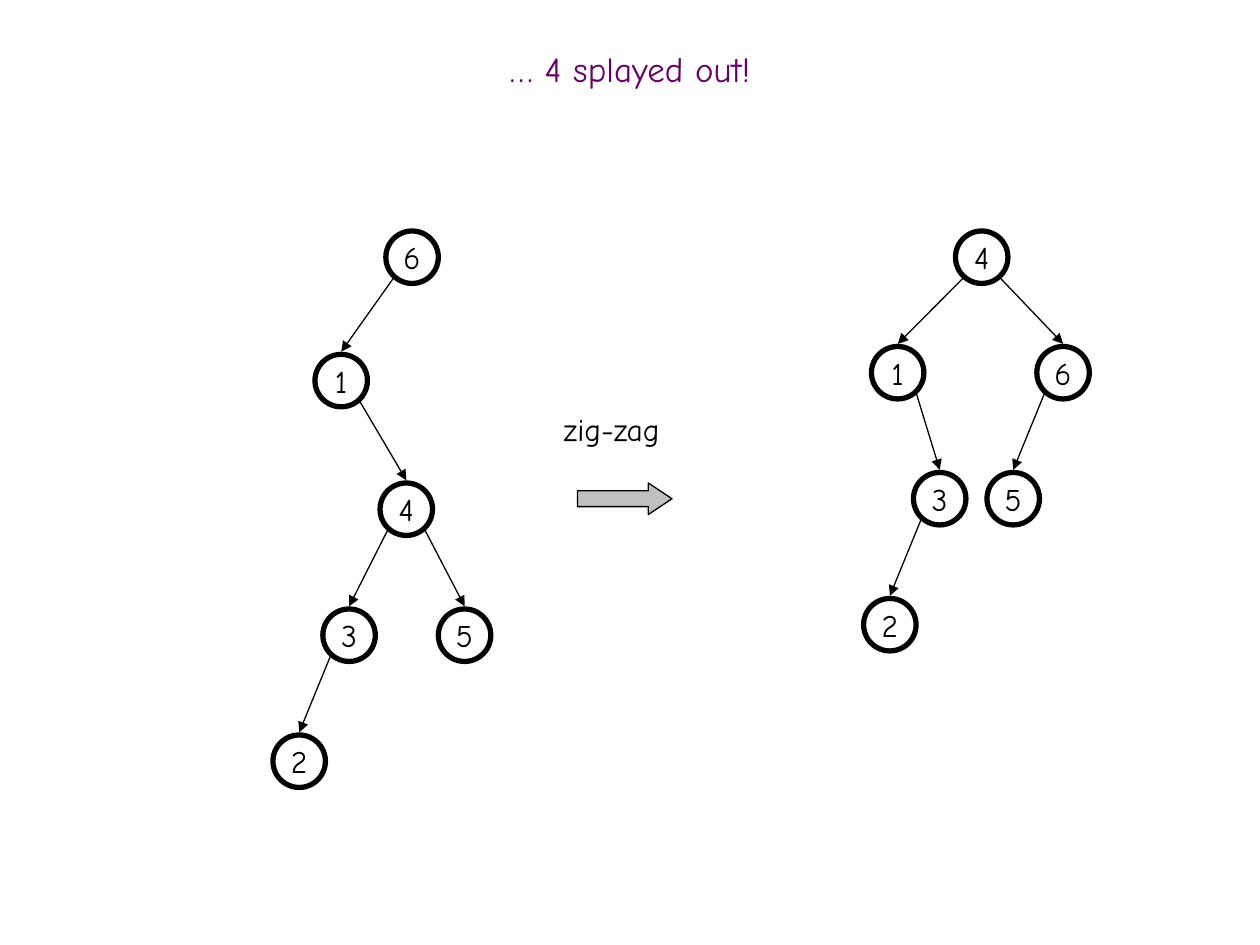
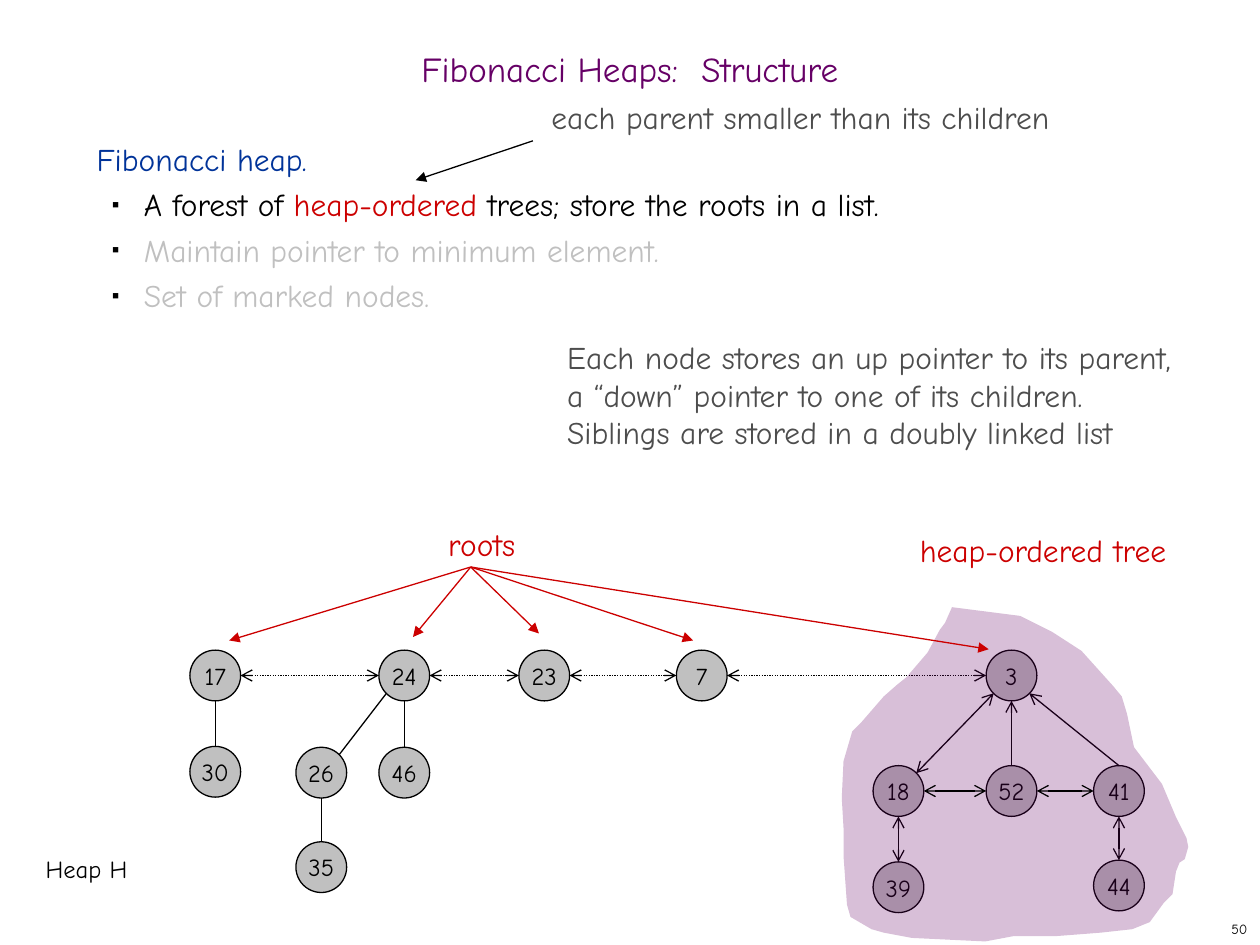
from typing import NamedTuple, Optional

from lxml.etree import SubElement
from pptx import Presentation
from pptx.dml.color import RGBColor
from pptx.enum.dml import MSO_LINE
from pptx.enum.shapes import MSO_CONNECTOR, MSO_SHAPE
from pptx.enum.text import MSO_ANCHOR, MSO_AUTO_SIZE, PP_ALIGN
from pptx.oxml.ns import qn
from pptx.util import Pt

FONT = "Comic Neue"
BLACK = "000000"
PURPLE = "660066"
BLUE = "003399"
RED = "CC0000"
SILVER = "C0C0C0"
GREY = "4D4D4D"

SPLAY_DIAMETER = 30
HEAP_DIAMETER = 29
SIDES = {
    "top": (0, -1),
    "bottom": (0, 1),
    "left": (-1, 0),
    "right": (1, 0),
    "top right": (0.7, -0.7),
    "bottom left": (-0.7, 0.7),
    "bottom right": (0.7, 0.7),
}


class TreeNode(NamedTuple):
    label: str
    x: float
    y: float
    parent: Optional[str] = None


class Link(NamedTuple):
    start: str
    start_side: str
    end: str
    end_side: str
    head: Optional[str] = None
    tail: Optional[str] = None
    dotted: bool = False


class Label(NamedTuple):
    text: str
    x: float
    y: float
    width: float
    height: float
    colour: str = BLACK
    size: float = 18


SPLAY_BEFORE = [
    TreeNode("6", 235.5, 147),
    TreeNode("1", 195, 217.5, "6"),
    TreeNode("4", 232.2, 291, "1"),
    TreeNode("3", 199.5, 363, "4"),
    TreeNode("5", 265.5, 363, "4"),
    TreeNode("2", 171, 435, "3"),
]
SPLAY_AFTER = [
    TreeNode("4", 561, 147),
    TreeNode("1", 513, 213, "4"),
    TreeNode("6", 607.5, 213, "4"),
    TreeNode("3", 537, 285, "1"),
    TreeNode("5", 579, 285, "6"),
    TreeNode("2", 508.5, 357, "3"),
]

ROOT_Y = 386
ROOTS = [
    TreeNode(label, x, ROOT_Y)
    for label, x in (("17", 123), ("24", 231), ("23", 311), ("7", 401), ("3", 578))
]
DESCENDANTS = [
    TreeNode("30", 123, 441),
    TreeNode("26", 183.6, 441.5),
    TreeNode("46", 231, 441.5),
    TreeNode("35", 183.6, 495.5),
    TreeNode("18", 513.4, 452),
    TreeNode("52", 578, 452),
    TreeNode("41", 639.4, 452),
    TreeNode("39", 513.4, 507),
    TreeNode("44", 639.4, 506),
]
ROOT_LINKS = [
    Link(left.label, "right", right.label, "left", "arrow", "arrow", True)
    for left, right in zip(ROOTS, ROOTS[1:])
]
CHILD_LINKS = [
    Link("30", "top", "17", "bottom"),
    Link("35", "top", "26", "bottom"),
    Link("46", "top", "24", "bottom"),
    Link("26", "top right", "24", "bottom left"),
    Link("39", "top", "18", "bottom", "arrow", "arrow"),
    Link("44", "top", "41", "bottom", "arrow", "arrow"),
    Link("52", "top", "3", "bottom", None, "arrow"),
    Link("18", "top right", "3", "bottom left", "arrow", "arrow"),
    Link("41", "top", "3", "bottom right", None, "arrow"),
]
SIBLING_LINKS = [
    Link("18", "right", "52", "left", "arrow", "arrow"),
    Link("52", "right", "41", "left", "arrow", "arrow"),
]
ROOTS_ARROW_START = (269, 324)
ROOTS_ARROW_ENDS = [(131, 366), (236, 364), (308, 362), (396, 366), (565, 371)]
HEAP_TREE_OUTLINE = [
    (544, 347), (583, 352), (601, 361), (618, 372), (636, 392), (641, 398),
    (644, 408), (648, 427), (664, 448), (672, 467), (677.5, 479), (679, 484),
    (677, 491), (674, 493), (672, 498), (670, 511), (665, 516), (657, 527),
    (647, 531), (629, 533), (603, 535), (579, 535), (563, 538), (521, 536),
    (505, 533), (498, 531), (486, 524), (484, 517), (482, 489), (481.5, 473),
    (481, 455.5), (482.5, 435), (487, 418), (492, 413), (505, 398), (513, 391),
    (518, 387), (524, 380), (530, 373), (537, 360), (540, 356),
]
HEAP_LABELS = [
    Label("Heap H", 19, 484.5, 62.5, 24.5, size=14),
    Label("roots", 249, 296.5, 60, 29, RED),
    Label("heap-ordered tree", 518.5, 300, 173, 29, RED),
    Label("each parent smaller than its children", 308, 52.5, 326, 29, GREY),
    Label(
        "Each node stores an up pointer to its parent,\n"
        "a “down” pointer to one of its children.\n"
        "Siblings are stored in a doubly linked list",
        317, 189.5, 393, 73, GREY,
    ),
]
HEAP_POINTS = [
    [("A forest of ", BLACK), ("heap-ordered", RED),
     (" trees; store the roots in a list.", BLACK)],
    [("Maintain pointer to minimum element.", SILVER)],
    [("Set of marked nodes.", SILVER)],
]


def rgb(colour: str) -> RGBColor:
    return RGBColor.from_string(colour)


def add_span(para, text: str, *, size: float = 18, colour: str = BLACK) -> None:
    span = para.add_run()
    span.text = text
    span.font.name = FONT
    span.font.size = Pt(size)
    span.font.color.rgb = rgb(colour)


def write(frame, text: str, *, size: float = 18, colour: str = BLACK,
          align=PP_ALIGN.LEFT, anchor=MSO_ANCHOR.TOP, wrap: bool = False,
          auto_size=MSO_AUTO_SIZE.NONE, line_spacing=None) -> None:
    frame.word_wrap = wrap
    frame.auto_size = auto_size
    frame.vertical_anchor = anchor
    for index, line in enumerate(text.split("\n")):
        para = frame.add_paragraph() if index else frame.paragraphs[0]
        para.alignment = align
        para.line_spacing = line_spacing
        add_span(para, line, size=size, colour=colour)


def place(shape, x: float, y: float, width: float, height: float) -> None:
    shape.left, shape.top = Pt(x), Pt(y)
    shape.width, shape.height = Pt(width), Pt(height)


def add_page(deck, layout_index: int, title: str):
    page = deck.slides.add_slide(deck.slide_layouts[layout_index])
    place(page.shapes.title, 0, 24, 720, 36)
    write(page.shapes.title.text_frame, title, size=20, colour=PURPLE,
          align=PP_ALIGN.CENTER, anchor=MSO_ANCHOR.MIDDLE, wrap=True, line_spacing=0.7)
    return page


def add_label(page, label: Label) -> None:
    box = page.shapes.add_textbox(
        Pt(label.x), Pt(label.y), Pt(label.width), Pt(label.height))
    write(box.text_frame, label.text, size=label.size, colour=label.colour,
          auto_size=MSO_AUTO_SIZE.SHAPE_TO_FIT_TEXT)


def add_shape(page, kind, x: float, y: float, width: float, height: float, *,
              fill: Optional[str] = None, weight: float = 0.75):
    shape = page.shapes.add_shape(kind, Pt(x), Pt(y), Pt(width), Pt(height))
    shape.shadow.inherit = False
    if fill:
        shape.fill.solid()
        shape.fill.fore_color.rgb = rgb(fill)
    else:
        shape.fill.background()
    shape.line.color.rgb = rgb(BLACK)
    shape.line.width = Pt(weight)
    return shape


def add_node(page, node: TreeNode, diameter: float, *, size: float,
             fill: Optional[str] = None, weight: float = 0.75):
    radius = diameter / 2
    circle = add_shape(page, MSO_SHAPE.OVAL, node.x - radius, node.y - radius,
                       diameter, diameter, fill=fill, weight=weight)
    write(circle.text_frame, node.label, size=size, align=PP_ALIGN.CENTER,
          anchor=MSO_ANCHOR.MIDDLE)
    return circle


def add_line(page, start: tuple[float, float], end: tuple[float, float], *,
             colour: str = BLACK, head: Optional[str] = None,
             tail: Optional[str] = None, dotted: bool = False):
    connector = page.shapes.add_connector(
        MSO_CONNECTOR.STRAIGHT, *(Pt(value) for value in (*start, *end)))
    connector.line.color.rgb = rgb(colour)
    connector.line.width = Pt(0.75)
    if dotted:
        connector.line.dash_style = MSO_LINE.ROUND_DOT
    properties = connector._element.spPr
    outline = properties.find(qn("a:ln"))
    for tag, kind in (("a:headEnd", head), ("a:tailEnd", tail)):
        if kind:
            SubElement(outline, qn(tag), type=kind)
    SubElement(properties, qn("a:effectLst"))
    return connector


def add_splay_tree(page, nodes: list[TreeNode]) -> None:
    by_label = {node.label: node for node in nodes}
    for node in nodes:
        if node.parent:
            parent = by_label[node.parent]
            offset = 10.7 if node.x > parent.x else -10.7
            add_line(page, (parent.x + offset, parent.y + 12),
                     (node.x, node.y - 16.5), tail="triangle")
        add_node(page, node, SPLAY_DIAMETER, size=18, weight=3)


def side_point(node: TreeNode, side: str) -> tuple[float, float]:
    across, down = SIDES[side]
    radius = HEAP_DIAMETER / 2
    return node.x + across * radius, node.y + down * radius


def add_links(page, links: list[Link], nodes: dict, circles: dict) -> None:
    for link in links:
        connector = add_line(
            page, side_point(nodes[link.start], link.start_side),
            side_point(nodes[link.end], link.end_side),
            head=link.head, tail=link.tail, dotted=link.dotted)
        if link.start_side == "top":
            connector.begin_connect(circles[link.start], 0)


def add_heap_tree_area(page) -> None:
    builder = page.shapes.build_freeform(*HEAP_TREE_OUTLINE[0], scale=Pt(1))
    builder.add_line_segments(HEAP_TREE_OUTLINE[1:], close=True)
    area = builder.convert_to_shape()
    area.shadow.inherit = False
    area.fill.solid()
    area.fill.fore_color.rgb = rgb(PURPLE)
    area.line.fill.background()
    paint = area._element.spPr.find(f"{qn('a:solidFill')}/{qn('a:srgbClr')}")
    SubElement(paint, qn("a:alpha"), val="25000")


def format_bullet(para) -> None:
    properties = para._p.get_or_add_pPr()
    properties.set("marL", str(Pt(27)))
    properties.set("indent", str(Pt(-18)))
    SubElement(SubElement(properties, qn("a:buClr")), qn("a:srgbClr"), val=BLACK)
    SubElement(properties, qn("a:buSzPct"), val="35000")
    SubElement(properties, qn("a:buChar"), char="■")


def fill_heap_body(body) -> None:
    place(body, 48, 72, 618, 426)
    frame = body.text_frame
    write(frame, "Fibonacci heap.", colour=BLUE, wrap=True, line_spacing=Pt(26))
    heading = frame.paragraphs[0]
    heading.space_before = Pt(0)
    properties = heading._p.get_or_add_pPr()
    properties.set("marL", "0")
    properties.set("indent", "0")
    SubElement(properties, qn("a:buNone"))
    for spans in HEAP_POINTS:
        para = frame.add_paragraph()
        para.level = 1
        format_bullet(para)
        para.line_spacing = Pt(26)
        para.space_before = Pt(0)
        for text, colour in spans:
            add_span(para, text, colour=colour)


def build_splay_page(deck) -> None:
    page = add_page(deck, 5, "… 4 splayed out!")
    arrow = add_shape(page, MSO_SHAPE.RIGHT_ARROW, 330, 276, 54, 18, fill=SILVER)
    arrow.adjustments[0], arrow.adjustments[1] = 0.5, 0.75
    add_label(page, Label("zig-zag", 315, 231, 75, 29))
    for tree in (SPLAY_BEFORE, SPLAY_AFTER):
        add_splay_tree(page, tree)


def build_heap_page(deck) -> None:
    page = add_page(deck, 1, "Fibonacci Heaps:  Structure")
    fill_heap_body(page.placeholders[1])
    number = page.shapes.add_textbox(Pt(570), Pt(522), Pt(150), Pt(18))
    write(number.text_frame, "50", size=8, align=PP_ALIGN.RIGHT,
          anchor=MSO_ANCHOR.MIDDLE, wrap=True)
    nodes = {node.label: node for node in ROOTS + DESCENDANTS}
    circles = {
        label: add_node(page, node, HEAP_DIAMETER, size=14, fill=SILVER)
        for label, node in nodes.items()
    }
    add_links(page, ROOT_LINKS + CHILD_LINKS, nodes, circles)
    add_heap_tree_area(page)
    add_links(page, SIBLING_LINKS, nodes, circles)
    for end in ROOTS_ARROW_ENDS:
        add_line(page, ROOTS_ARROW_START, end, colour=RED, tail="triangle")
    add_line(page, (304.5, 80.5), (237.5, 103), tail="triangle")
    for label in HEAP_LABELS:
        add_label(page, label)


def main() -> None:
    deck = Presentation()
    deck.slide_width, deck.slide_height = Pt(720), Pt(540)
    build_splay_page(deck)
    build_heap_page(deck)
    deck.save("out.pptx")


if __name__ == "__main__":
    main()
